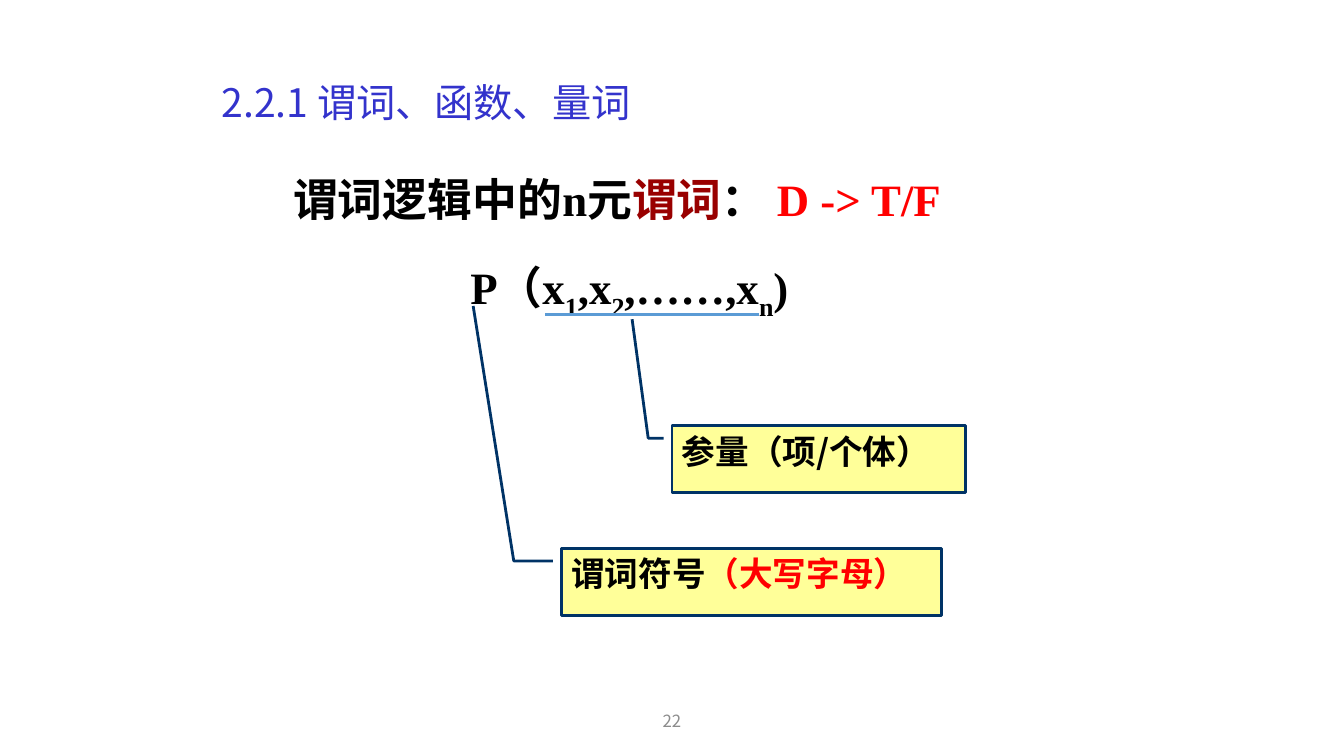
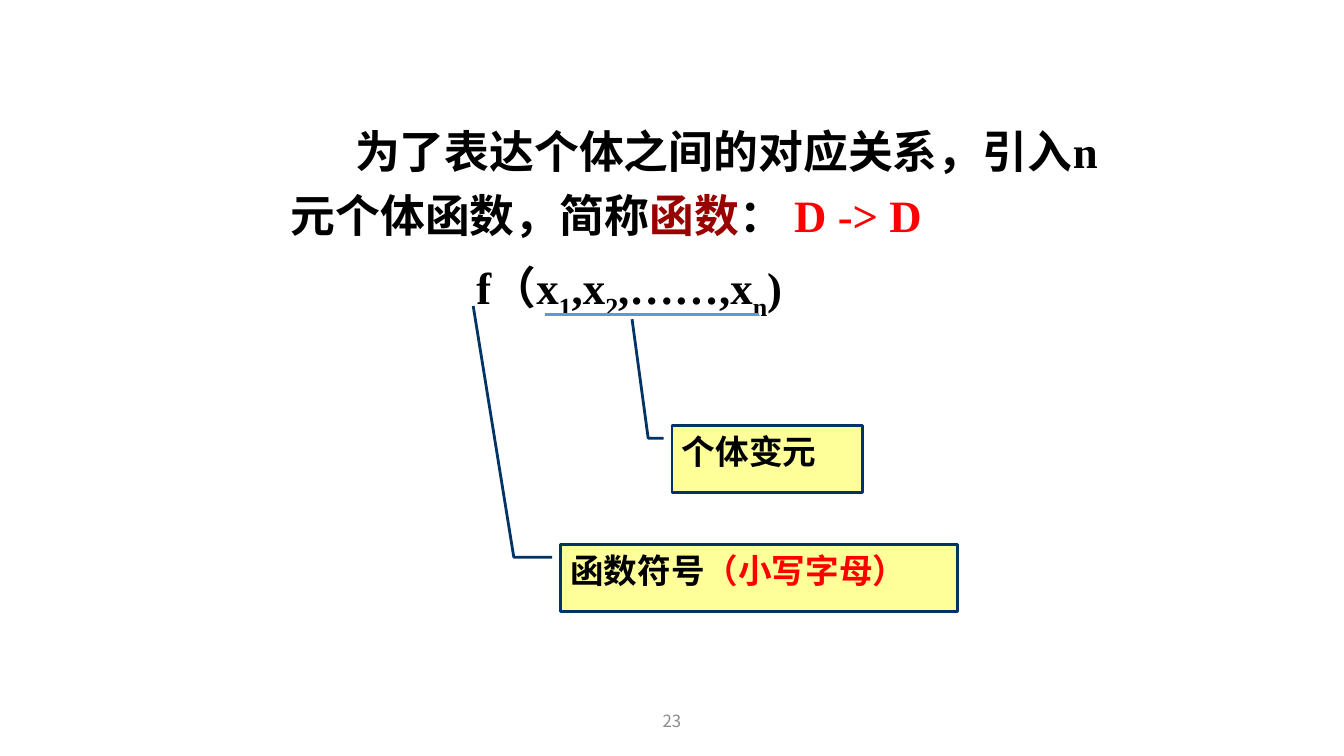
from dataclasses import dataclass

from lxml import etree
from pptx import Presentation
from pptx.dml.color import RGBColor
from pptx.enum import shapes, text
from pptx.oxml import ns
from pptx.util import Pt


@dataclass(frozen=True)
class Theme:
    title: str = "3333CC"
    ink: str = "000000"
    term: str = "990000"
    accent: str = "FF0000"
    footer: str = "8C8C8C"
    callout_fill: str = "FFFF99"
    callout_line: str = "003366"
    underline: str = "5B9BD5"
    sans: str = "Noto Sans CJK SC"
    serif: str = "Times New Roman"
    title_size: int = 28
    body_size: int = 32
    callout_size: int = 24
    footer_size: int = 12


theme = Theme()


def write(shape, runs, size, font, bold=False, align="LEFT", anchor="TOP", spacing=None,
          before=None, margin=0, indent=0):
    """Fill a shape with one paragraph of (text, colour[, baseline]) runs."""
    frame = shape.text_frame
    frame.word_wrap = True
    frame.vertical_anchor = getattr(text.MSO_ANCHOR, anchor)
    paragraph = frame.paragraphs[0]
    paragraph.alignment = getattr(text.PP_ALIGN, align)
    if spacing:
        paragraph.line_spacing = spacing
    if before:
        paragraph.space_before = Pt(before)
    properties = paragraph._p.get_or_add_pPr()
    properties.set("marL", str(Pt(margin)))
    properties.set("indent", str(Pt(indent)))
    for words, colour, *baseline in runs:
        run = paragraph.add_run()
        run.text = words
        run.font.size, run.font.bold, run.font.name = Pt(size), bold, font
        run.font.color.rgb = RGBColor.from_string(colour)
        run_properties = run._r.get_or_add_rPr()
        etree.SubElement(run_properties, ns.qn("a:ea"), typeface=theme.sans)
        if baseline:
            run_properties.set("baseline", str(baseline[0]))


def add_callout(slide, left, top, width, elbow, tip, runs):
    """Add a box whose bent leader runs through the elbow x to the tip point."""
    height, gap, drop = 48, 6, 9
    shape = slide.shapes.add_shape(shapes.MSO_SHAPE.LINE_CALLOUT_2,
                                   Pt(left), Pt(top), Pt(width), Pt(height))
    points = [(left - gap, top + drop), (elbow, top + drop), tip]
    for index, (x, y) in enumerate(points):
        shape.adjustments[2 * index] = (y - top) / height
        shape.adjustments[2 * index + 1] = (x - left) / width
    shape.shadow.inherit = False
    shape.fill.solid()
    shape.fill.fore_color.rgb = RGBColor.from_string(theme.callout_fill)
    shape.line.color.rgb = RGBColor.from_string(theme.callout_line)
    shape.line.width = Pt(2)
    write(shape, runs, theme.callout_size, theme.sans, bold=True)


presentation = Presentation()
presentation.slide_width, presentation.slide_height = Pt(960), Pt(540)
TITLE_ONLY, BLANK = 5, 6

# What differs from slide to slide
pages = [
    dict(number="22", title="2.2.1 谓词、函数、量词", symbol="P",
         statement=[("谓词逻辑中的n元", theme.ink), ("谓词", theme.term),
                    ("： ", theme.ink), ("D -> T/F", theme.accent)],
         statement_box=(202.3, 111.6, 648, 61.2), indent=-27,
         symbol_box=(401, 391.7, 271.5),
         symbol_note=[("谓词符号", theme.ink), ("（大写字母）", theme.accent)],
         argument_width=209.5, argument_note="参量（项/个体）"),
    dict(number="23", title=None, symbol="f",
         statement=[("为了表达个体之间的对应关系，引入n元个体函数，简称", theme.ink),
                    ("函数", theme.term), ("： ", theme.ink), ("D -> D", theme.accent)],
         statement_box=(173.5, 77, 617.8, 108), indent=46,
         symbol_box=(400.3, 389, 283.7),
         symbol_note=[("函数符号", theme.ink), ("（小写字母）", theme.accent)],
         argument_width=136, argument_note="个体变元"),
]

for page in pages:
    slide = presentation.slides.add_slide(
        presentation.slide_layouts[TITLE_ONLY if page["title"] else BLANK])

    # Title
    if page["title"]:
        title = slide.shapes.title
        title.left, title.top, title.width, title.height = Pt(151), Pt(49), Pt(648), Pt(51)
        write(title, [(page["title"], theme.title)], theme.title_size, theme.sans,
              anchor="MIDDLE", spacing=0.9)

    # Page number
    footer = slide.shapes.add_textbox(Pt(318), Pt(500.5), Pt(324), Pt(28.75))
    write(footer, [(page["number"], theme.footer)], theme.footer_size, theme.sans,
          align="CENTER", anchor="MIDDLE")

    # Formula with subscripts
    formula = slide.shapes.add_textbox(Pt(304.5), Pt(173.5), Pt(290), Pt(61))
    pieces = [(page["symbol"] + "（x", 0), ("1", -25000), (",x", 0), ("2", -25000),
              (",……,x", 0), ("n", -25000), (")", 0)]
    write(formula, [(words, theme.ink, baseline) for words, baseline in pieces],
          theme.body_size, theme.serif, bold=True, align="CENTER", spacing=1.2,
          before=9.6, margin=18, indent=-18)

    # Statement
    statement = slide.shapes.add_textbox(*map(Pt, page["statement_box"]))
    write(statement, page["statement"], theme.body_size, theme.serif, bold=True,
          spacing=1.2, before=9.6, margin=27, indent=page["indent"])

    # Callouts for the symbol and its arguments
    add_callout(slide, *page["symbol_box"], 367, (338, 218.5), page["symbol_note"])
    add_callout(slide, 480, 304, page["argument_width"], 463, (451.5, 228),
                [(page["argument_note"], theme.ink)])

    # Line under the arguments
    underline = slide.shapes.add_connector(shapes.MSO_CONNECTOR.STRAIGHT,
                                           Pt(389.5), Pt(224.6), Pt(542), Pt(224.6))
    underline.line.color.rgb = RGBColor.from_string(theme.underline)
    underline.line.width = Pt(2.25)
    etree.SubElement(underline._element.spPr, ns.qn("a:effectLst"))

presentation.save("out.pptx")
